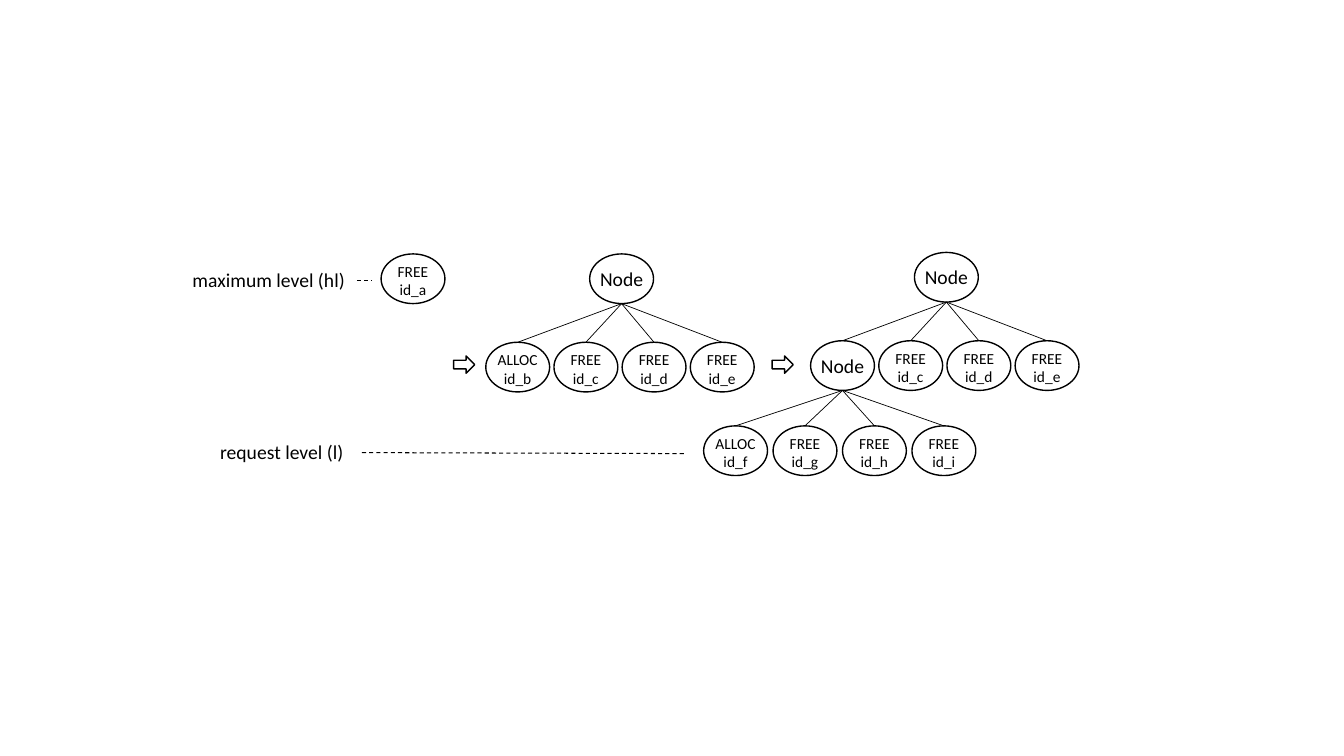
from dataclasses import dataclass

from lxml import etree
from pptx import Presentation
from pptx import util as u
from pptx.dml.color import RGBColor
from pptx.enum import dml, shapes, text
from pptx.oxml.ns import qn

BLACK, WHITE = "000000", "FFFFFF"
NODE_W, NODE_H = 45.6, 35.5
ID_W, ID_H = 72, 33.8
NAME_H = 24.5


@dataclass(frozen=True)
class Fan:
    """Offset of the first child from its parent, and the step between children."""
    dx: float
    dy: float
    pitch: float


@dataclass(frozen=True)
class Node:
    label: str
    children: tuple["Node", ...] = ()
    fan: Fan = Fan(-74.2, 63.1, 48.7)


@dataclass(frozen=True)
class Tree:
    left: float
    top: float
    root: Node


@dataclass(frozen=True)
class Level:
    label: str
    left: float
    top: float
    width: float
    line: tuple[float, float, float, float]


FREE_C, FREE_D, FREE_E = (Node(f"FREE\nid_{c}") for c in "cde")
SPLIT = Node(
    "Node",
    (Node("ALLOC\nid_f"), *(Node(f"FREE\nid_{c}") for c in "ghi")),
    Fan(-76.4, 60.8, 49.6),
)
TREES = (
    Tree(272.2, 181.4, Node("FREE\nid_a")),
    Tree(421.2, 181.4, Node("Node", (Node("ALLOC\nid_b"), FREE_C, FREE_D, FREE_E))),
    Tree(653.2, 180.3, Node("Node", (SPLIT, FREE_C, FREE_D, FREE_E))),
)
LEVELS = (
    Level("maximum level (hl)", 129.6, 187.9, 124.6, (254.9, 200.2, 265.7, 200.2)),
    Level("request level (l)", 144, 311, 114.5, (258.5, 323.3, 489.6, 324)),
)
ARROW_LEFTS = (324, 551.5)


def color(hex_code: str) -> RGBColor:
    return RGBColor.from_string(hex_code)


def add_outlined(parent, kind, left: float, top: float, width: float, height: float):
    sp = parent.add_shape(kind, u.Pt(left), u.Pt(top), u.Pt(width), u.Pt(height))
    sp.shadow.inherit = False
    sp.fill.solid()
    sp.fill.fore_color.rgb = color(WHITE)
    sp.line.color.rgb = color(BLACK)
    sp.line.width = u.Pt(1)
    return sp


def add_text(parent, content: str, left: float, top: float, width: float, height: float,
             *, size: float, font: str = "Calibri", fill: str = BLACK) -> None:
    box = parent.add_textbox(u.Pt(left), u.Pt(top), u.Pt(width), u.Pt(height))
    tf = box.text_frame
    tf.word_wrap = True
    tf.auto_size = text.MSO_AUTO_SIZE.SHAPE_TO_FIT_TEXT
    tf.margin_left = tf.margin_right = 0
    tf.text = content
    for p in tf.paragraphs:
        p.alignment = text.PP_ALIGN.CENTER
        for r in p.runs:
            r.font.name = font
            r.font.size = u.Pt(size)
            r.font.color.rgb = color(fill)


def add_line(parent, x1: float, y1: float, x2: float, y2: float,
             *, width: float, dashed: bool = False):
    line = parent.add_connector(shapes.MSO_CONNECTOR.STRAIGHT,
                                u.Pt(x1), u.Pt(y1), u.Pt(x2), u.Pt(y2))
    line.line.color.rgb = color(BLACK)
    line.line.width = u.Pt(width)
    if dashed:
        line.line.dash_style = dml.MSO_LINE.DASH
    etree.SubElement(line._element.spPr, qn("a:effectLst"))
    return line


def add_node(parent, node: Node, left: float, top: float):
    """Draw the node and everything below it; return the node's ellipse."""
    ellipse = add_outlined(parent, shapes.MSO_SHAPE.OVAL, left, top, NODE_W, NODE_H)
    if "\n" in node.label:
        add_text(parent, node.label, left + (NODE_W - ID_W) / 2, top + 2.2,
                 ID_W, ID_H, size=11)
    else:
        add_text(parent, node.label, left, top + 5.7, NODE_W, NAME_H, size=14)

    fan = node.fan
    x, y = left + NODE_W / 2, top + NODE_H
    for i, child in enumerate(node.children):
        child_left, child_top = left + fan.dx + i * fan.pitch, top + fan.dy
        child_ellipse = add_node(parent, child, child_left, child_top)
        branch = add_line(parent, x, y, child_left + NODE_W / 2, child_top, width=0.5)
        branch.end_connect(child_ellipse, 0)
    return ellipse


def main() -> None:
    prs = Presentation()
    prs.slide_width, prs.slide_height = u.Pt(960), u.Pt(540)
    s = prs.slides.add_slide(prs.slide_layouts[6])

    for level in LEVELS:
        add_text(s.shapes, level.label, level.left, level.top, level.width, NAME_H, size=14)
        add_line(s.shapes, *level.line, width=0.75, dashed=True)
    for left in ARROW_LEFTS:
        add_outlined(s.shapes, shapes.MSO_SHAPE.RIGHT_ARROW, left, 254.2, 15.1, 12.4)
    for tree in TREES:
        group = s.shapes.add_group_shape()
        add_node(group.shapes, tree.root, tree.left, tree.top)

    prs.save("out.pptx")


if __name__ == "__main__":
    main()
